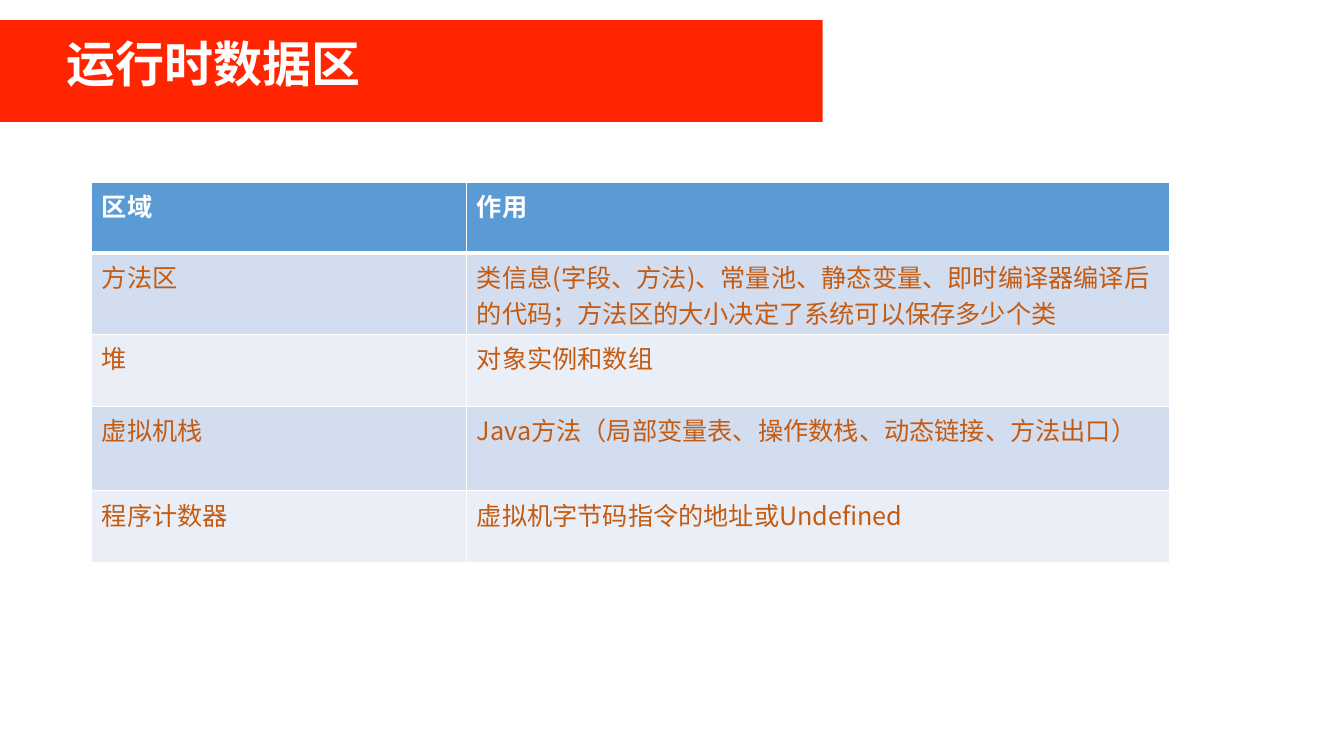
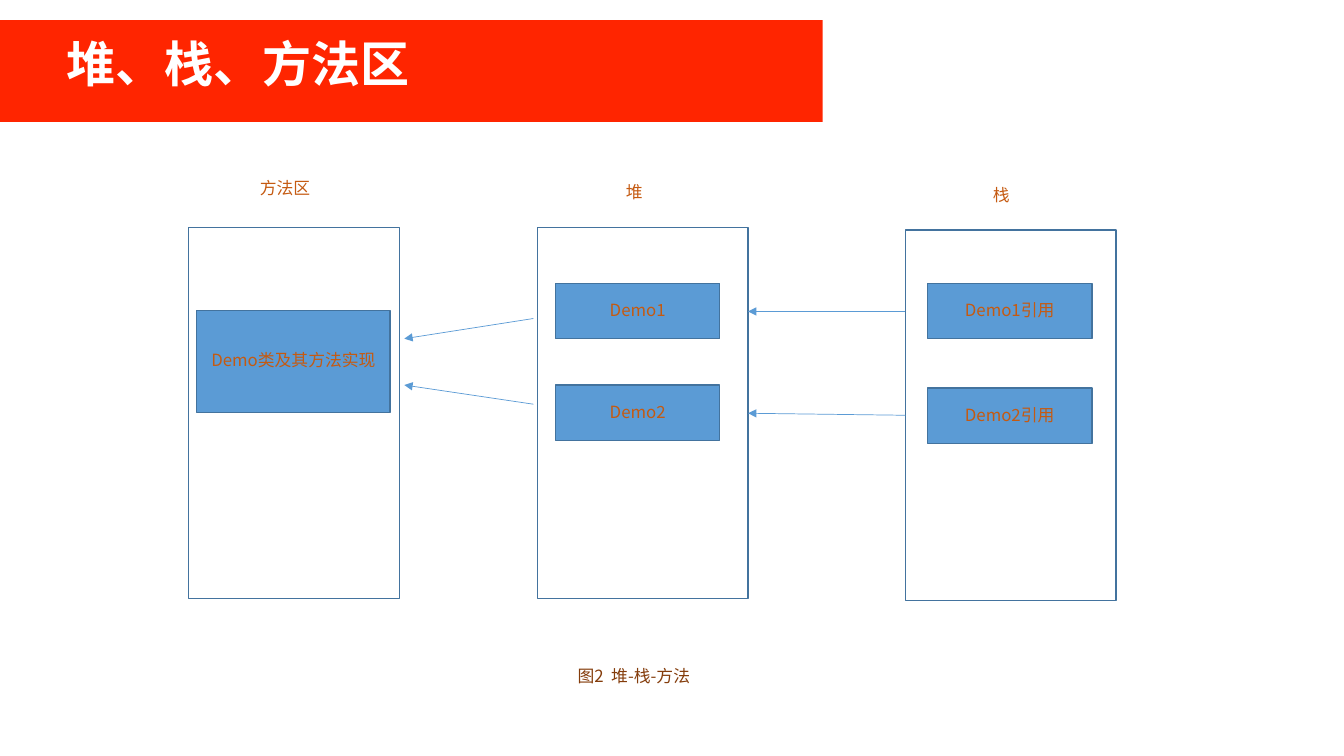
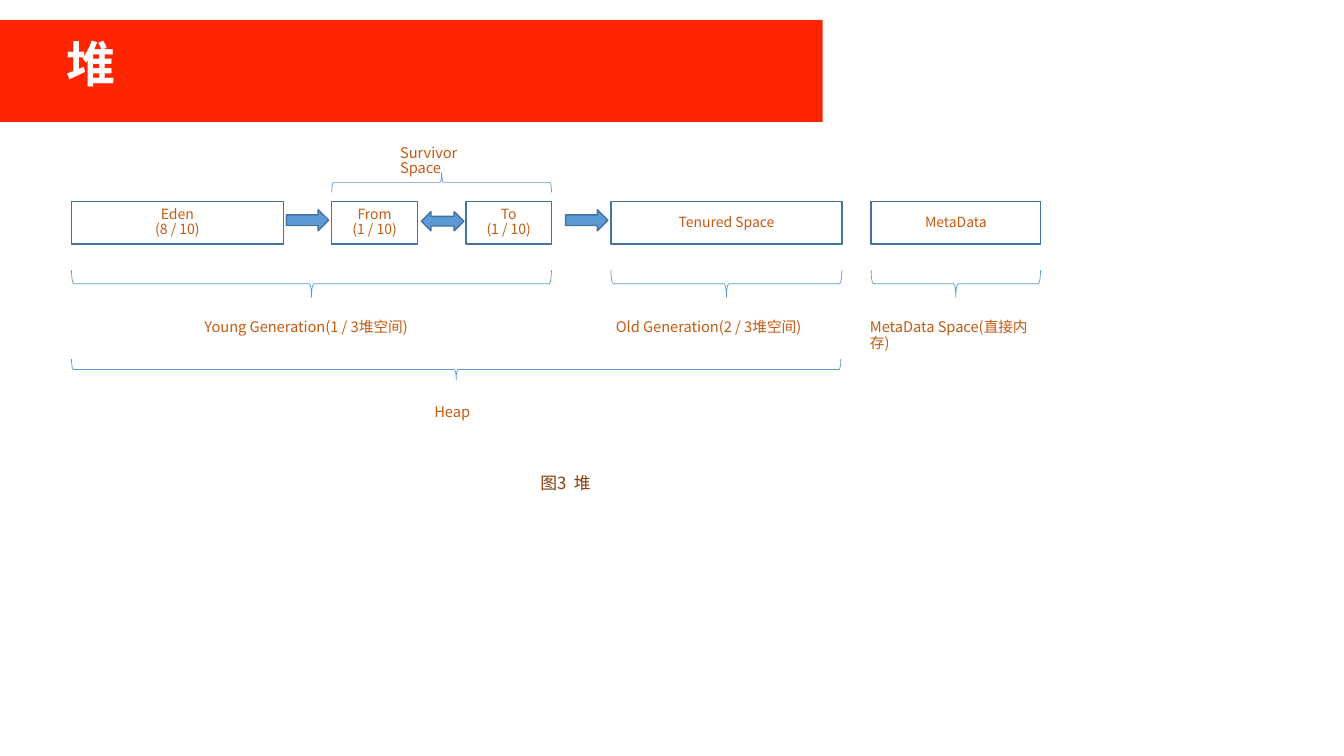
"""Build three slides on the runtime memory areas of a virtual machine."""
from pptx import Presentation
from pptx.dml.color import RGBColor
from pptx.enum.shapes import MSO_CONNECTOR, MSO_SHAPE
from pptx.enum.text import MSO_ANCHOR, MSO_AUTO_SIZE, PP_ALIGN
from pptx.oxml.ns import qn
from pptx.util import Inches, Pt
from lxml import etree

RECT = MSO_SHAPE.RECTANGLE
RIGHT = MSO_SHAPE.RIGHT_ARROW
BOTH = MSO_SHAPE.LEFT_RIGHT_ARROW
BRACE = MSO_SHAPE.LEFT_BRACE
LINE = MSO_CONNECTOR.STRAIGHT
MIDDLE = MSO_ANCHOR.MIDDLE
CENTER = PP_ALIGN.CENTER
GROW = MSO_AUTO_SIZE.SHAPE_TO_FIT_TEXT

WHITE = RGBColor(0xFF, 0xFF, 0xFF)
RED = RGBColor(0xFF, 0x25, 0x00)
BLUE = RGBColor(0x5B, 0x9B, 0xD5)
NAVY = RGBColor(0x43, 0x73, 0x9E)
ORANGE = RGBColor(0xC5, 0x5A, 0x11)
BROWN = RGBColor(0x84, 0x3C, 0x0B)
DARK = RGBColor(0xD2, 0xDE, 0xEF)
PALE = RGBColor(0xEA, 0xEF, 0xF7)

SANS = "Noto Sans CJK JP"
HEAD = "Noto Sans CJK SC"
TIGHT = 0.87

ROWS = [
    ("区域", "作用"),
    ("方法区", "类信息(字段、方法)、常量池、静态变量、即时编译器编译后的代码；"
     "方法区的大小决定了系统可以保存多少个类"),
    ("堆", "对象实例和数组"),
    ("虚拟机栈", "Java方法（局部变量表、操作数栈、动态链接、方法出口）"),
    ("程序计数器", "虚拟机字节码指令的地址或Undefined"),
]


def add_run(para, text, size, color=ORANGE, font=SANS, bold=False):
    """Add one styled run and return it."""
    run = para.add_run()
    run.text = text
    run.font.size = Pt(size)
    run.font.bold = bold
    run.font.color.rgb = color
    run.font.name = font
    props = run.font._element
    etree.SubElement(props, qn("a:ea")).set("typeface", font)
    return run


def add_box(slide, at, fill=WHITE, line=NAVY, kind=RECT):
    """Add a filled preset shape without a shadow."""
    box = slide.shapes.add_shape(kind, *map(Inches, at))
    box.shadow.inherit = False
    box.fill.solid()
    box.fill.fore_color.rgb = fill
    if line is None:
        box.line.fill.background()
    else:
        box.line.color.rgb = line
        box.line.width = Pt(1)
    return box


def add_node(slide, at, text, size, fill=WHITE, font=SANS):
    """Add a box with centred lines of text."""
    frame = add_box(slide, at, fill).text_frame
    frame.word_wrap = True
    frame.vertical_anchor = MIDDLE
    for i, part in enumerate(text.split("\n")):
        para = frame.add_paragraph() if i else frame.paragraphs[0]
        para.alignment = CENTER
        para.line_spacing = TIGHT
        add_run(para, part, size, font=font)


def add_text(slide, at, wrap=True):
    """Add an empty text box and return its paragraph."""
    frame = slide.shapes.add_textbox(*map(Inches, at)).text_frame
    frame.word_wrap = wrap
    frame.auto_size = GROW
    para = frame.paragraphs[0]
    para.line_spacing = TIGHT
    return para


def add_label(slide, at, text, size):
    """Add a plain orange label."""
    add_run(add_text(slide, at), text, size)


def add_note(slide, left, top, mark, text):
    """Add a figure caption with a wide gap after its number."""
    para = add_text(slide, (left, top, 1.51, 0.3))
    add_run(para, mark, 12, BROWN)
    gap = add_run(para, " ", 12, BROWN)
    gap.font._element.set("spc", "270")
    add_run(para, text, 12, BROWN)


def add_arrow(slide, start, end):
    """Add a thin line with an arrowhead at its end."""
    arrow = slide.shapes.add_connector(LINE, *map(Inches, start + end))
    arrow.line.color.rgb = BLUE
    arrow.line.width = Pt(0.5)
    tip = etree.SubElement(arrow.line._get_or_add_ln(), qn("a:tailEnd"))
    tip.set("type", "triangle")
    etree.SubElement(arrow._element.spPr, qn("a:effectLst"))


def add_brace(slide, left, top, width, height, turn=270):
    """Add a level brace that covers the given span."""
    mid, half = left + width / 2, top + height / 2
    at = (mid - height / 2, half - width / 2, height, width)
    brace = slide.shapes.add_shape(BRACE, *map(Inches, at))
    brace.rotation = turn
    brace.shadow.inherit = False
    brace.fill.background()
    brace.line.color.rgb = BLUE
    brace.line.width = Pt(0.5)


def add_edge(cell, side, width):
    """Add a white border on one side of a cell."""
    props = cell._tc.get_or_add_tcPr()
    edge = etree.SubElement(props, qn("a:ln" + side))
    edge.set("w", str(Pt(width)))
    fill = etree.SubElement(edge, qn("a:solidFill"))
    etree.SubElement(fill, qn("a:srgbClr")).set("val", str(WHITE))


def add_grid(slide, at, widths, heights, rows):
    """Add a banded table with a bold header row."""
    shape = slide.shapes.add_table(len(rows), len(widths), *map(Inches, at))
    table = shape.table
    for col, width in zip(table.columns, widths):
        col.width = Inches(width)
    for i, (row, height) in enumerate(zip(table.rows, heights)):
        row.height = Inches(height)
        for cell, text in zip(row.cells, rows[i]):
            for side in "LRTB":
                thick = (i, side) in ((0, "B"), (1, "T"))
                add_edge(cell, side, 3 if thick else 1)
            cell.fill.solid()
            para = cell.text_frame.paragraphs[0]
            if i == 0:
                cell.fill.fore_color.rgb = BLUE
                add_run(para, text, 18, WHITE, HEAD, True)
            else:
                cell.fill.fore_color.rgb = DARK if i % 2 else PALE
                add_run(para, text, 18)


def add_page(deck, title, width):
    """Add a blank slide with the red title band."""
    slide = deck.slides.add_slide(deck.slide_layouts[6])
    add_box(slide, (-0.02, 0.2, 8.18, 1.01), RED, None)
    para = add_text(slide, (0.56, 0.36, width, 0.69), False)
    add_run(para, title, 35, WHITE, HEAD, True)
    return slide


def draw_areas(deck):
    """Draw the table of runtime data areas."""
    slide = add_page(deck, "运行时数据区", 3.15)
    add_grid(slide, (0.91, 1.81, 10.69, 3.77), (3.72, 6.97),
             (0.7, 0.81, 0.71, 0.84, 0.71), ROWS)


def draw_links(deck):
    """Draw how stack, heap and method area refer to each other."""
    slide = add_page(deck, "堆、栈、方法区", 3.64)
    for left, top in ((1.87, 2.26), (8.98, 2.28), (5.33, 2.26)):
        add_box(slide, (left, top, 2.09, 3.68))
    add_node(slide, (1.95, 3.08, 1.92, 1.01), "Demo类及其方法实现", 12, BLUE)
    for left, top, text in ((5.51, 2.81, "Demo1"), (5.51, 3.82, "Demo2"),
                            (9.2, 2.81, "Demo1引用"),
                            (9.2, 3.85, "Demo2引用")):
        add_node(slide, (left, top, 1.63, 0.55), text, 12, BLUE)
    for left, top, text in ((2.48, 1.74, "方法区"), (6.11, 1.78, "堆"),
                            (9.75, 1.81, "栈")):
        add_label(slide, (left, top, 1.7, 0.3), text, 12)
    for start, end in (((8.98, 3.09), (7.42, 3.09)),
                       ((8.98, 4.12), (7.42, 4.1)),
                       ((5.29, 3.16), (4.01, 3.36)),
                       ((5.29, 4.01), (4.01, 3.82))):
        add_arrow(slide, start, end)
    add_note(slide, 5.63, 6.58, "图2", "堆-栈-方法")


def draw_heap(deck):
    """Draw the spaces of the heap and their generations."""
    slide = add_page(deck, "堆", 0.69)
    for left, width, text, font in (
            (0.71, 2.1, "Eden\n(8 / 10)", SANS),
            (3.29, 0.85, "From\n(1 / 10)", HEAD),
            (4.62, 0.85, "To\n(1 / 10)", HEAD),
            (6.06, 2.29, "Tenured Space", SANS),
            (8.64, 1.68, "MetaData", SANS)):
        add_node(slide, (left, 2, width, 0.42), text, 10, font=font)
    for left in (2.84, 5.61):
        add_box(slide, (left, 2.08, 0.42, 0.21), BLUE, kind=RIGHT)
    add_box(slide, (4.18, 2.1, 0.42, 0.19), BLUE, kind=BOTH)
    add_brace(slide, 3.29, 1.71, 2.18, 0.2, 90)
    for left, width in ((0.71, 4.76), (6.06, 2.29), (8.64, 1.68)):
        add_brace(slide, left, 2.68, width, 0.27)
    add_brace(slide, 0.71, 3.56, 7.63, 0.21)
    for left, top, width, text in (
            (3.87, 1.4, 1.14, "Survivor Space"),
            (6.01, 3.13, 2.38, "Old Generation(2 / 3堆空间)"),
            (1.93, 3.13, 2.33, "Young Generation(1 / 3堆空间)"),
            (8.53, 3.13, 1.9, "MetaData Space(直接内存)"),
            (4.21, 3.97, 0.64, "Heap")):
        add_label(slide, (left, top, width, 0.28), text, 10.5)
    add_note(slide, 5.26, 4.67, "图3", "堆")


def main():
    """Build and save the deck."""
    deck = Presentation()
    deck.slide_width = Inches(13.33)
    deck.slide_height = Inches(7.5)
    draw_areas(deck)
    draw_links(deck)
    draw_heap(deck)
    deck.save("out.pptx")


if __name__ == "__main__":
    main()
